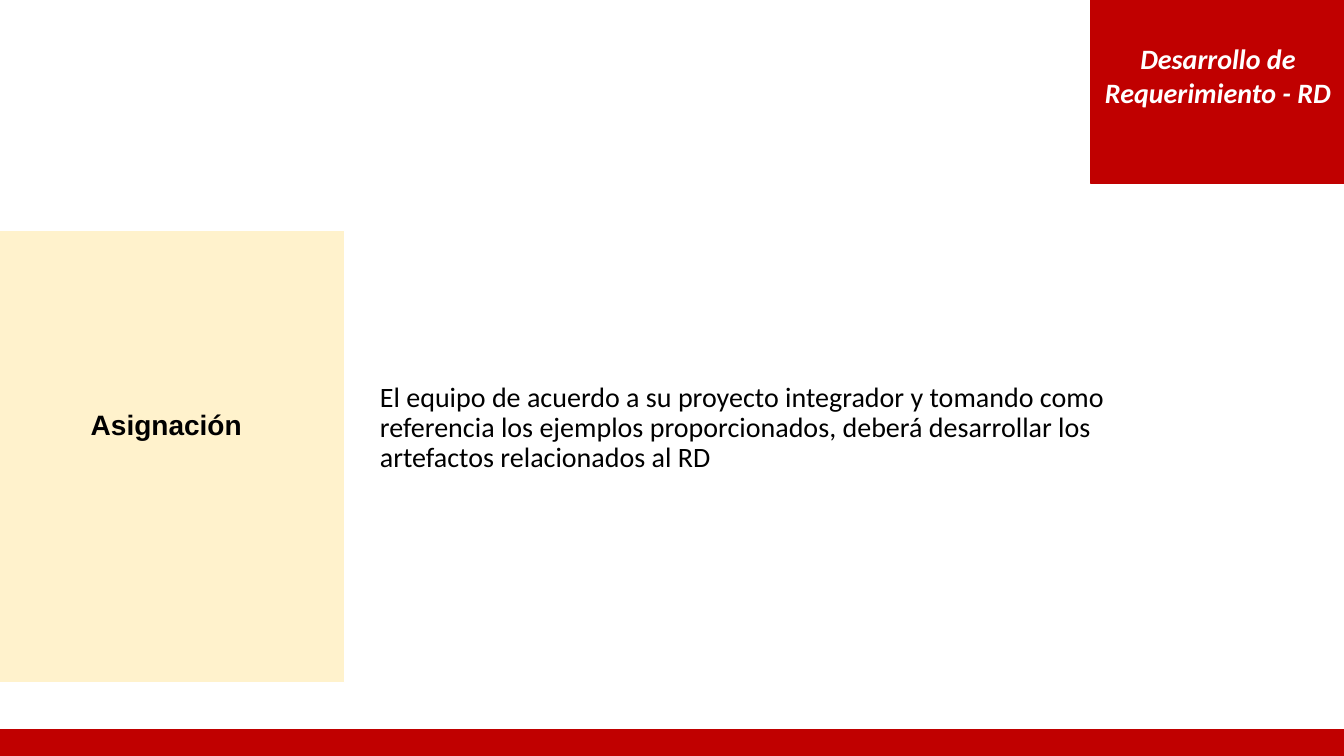
from dataclasses import dataclass

from pptx import Presentation
from pptx.dml.color import RGBColor
from pptx.enum import shapes, text
from pptx.util import Inches, Pt

SLIDE_SIZE = (13.33, 7.5)
TITLE = "Asignación"
TOPIC = "Desarrollo de Requerimiento - RD"
TASK = ("El equipo de acuerdo a su proyecto integrador y tomando como "
        "referencia los ejemplos proporcionados, deberá desarrollar los "
        "artefactos relacionados al RD")

# left, top, width, height in inches
TITLE_BOX = (-0.04, 2.29, 3.46, 4.48)
TASK_BOX = (3.67, 3.75, 7.87, 1.03)
TOPIC_BOX = (10.82, 0, 2.52, 1.82)
FOOTER_BOX = (0, 7.24, SLIDE_SIZE[0], 0.26)


@dataclass(frozen=True)
class Theme:
    red: RGBColor = RGBColor(0xC0, 0x00, 0x00)
    cream: RGBColor = RGBColor(0xFF, 0xF2, 0xCC)
    white: RGBColor = RGBColor(0xFF, 0xFF, 0xFF)
    black: RGBColor = RGBColor(0x00, 0x00, 0x00)
    heading_font: str = "Arial"
    body_font: str = "Calibri"
    size: Pt = Pt(20)


THEME = Theme()


def place(shape, box):
    shape.left, shape.top, shape.width, shape.height = map(Inches, box)


def paint(shape, fill, line, line_width):
    shape.fill.solid()
    shape.fill.fore_color.rgb = fill
    shape.line.color.rgb = line
    shape.line.width = Pt(line_width)


def write(shape, wording, font_name, color, align, anchor, spacing=1.0,
          margins=(0.1, 0.05, 0.1, 0.05), bold=False, italic=False):
    """Fill the shape with one paragraph; margins are left, top, right, bottom."""
    frame = shape.text_frame
    frame.text = wording
    frame.word_wrap = True
    frame.auto_size = text.MSO_AUTO_SIZE.NONE
    frame.vertical_anchor = anchor
    (frame.margin_left, frame.margin_top,
     frame.margin_right, frame.margin_bottom) = map(Inches, margins)
    paragraph = frame.paragraphs[0]
    paragraph.alignment = align
    paragraph.line_spacing = spacing
    font = paragraph.font
    font.name, font.size = font_name, THEME.size
    font.bold, font.italic = bold, italic
    font.color.rgb = color


def add_red_block(slide, box):
    block = slide.shapes.add_shape(shapes.MSO_SHAPE.RECTANGLE, *map(Inches, box))
    block.shadow.inherit = False
    paint(block, THEME.red, THEME.red, 1)
    return block


def main():
    deck = Presentation()
    deck.slide_width, deck.slide_height = map(Inches, SLIDE_SIZE)
    slide = deck.slides.add_slide(deck.slide_layouts[5])
    align, anchor = text.PP_ALIGN, text.MSO_ANCHOR

    title = slide.shapes.title
    place(title, TITLE_BOX)
    paint(title, THEME.cream, THEME.white, 0.75)
    write(title, TITLE, THEME.heading_font, THEME.black, align.CENTER,
          anchor.TOP, margins=(0.1, 1.75, 0.18, 0.05), bold=True)

    task = slide.shapes.add_textbox(*map(Inches, TASK_BOX))
    task.fill.solid()
    task.fill.fore_color.rgb = THEME.white
    write(task, TASK, THEME.body_font, THEME.black, align.LEFT,
          anchor.TOP, spacing=0.9)

    topic = add_red_block(slide, TOPIC_BOX)
    write(topic, TOPIC, THEME.body_font, THEME.white, align.CENTER,
          anchor.MIDDLE, margins=(0.1, 0.05, 0.1, 0.38), bold=True, italic=True)

    add_red_block(slide, FOOTER_BOX)
    deck.save("out.pptx")


if __name__ == "__main__":
    main()
